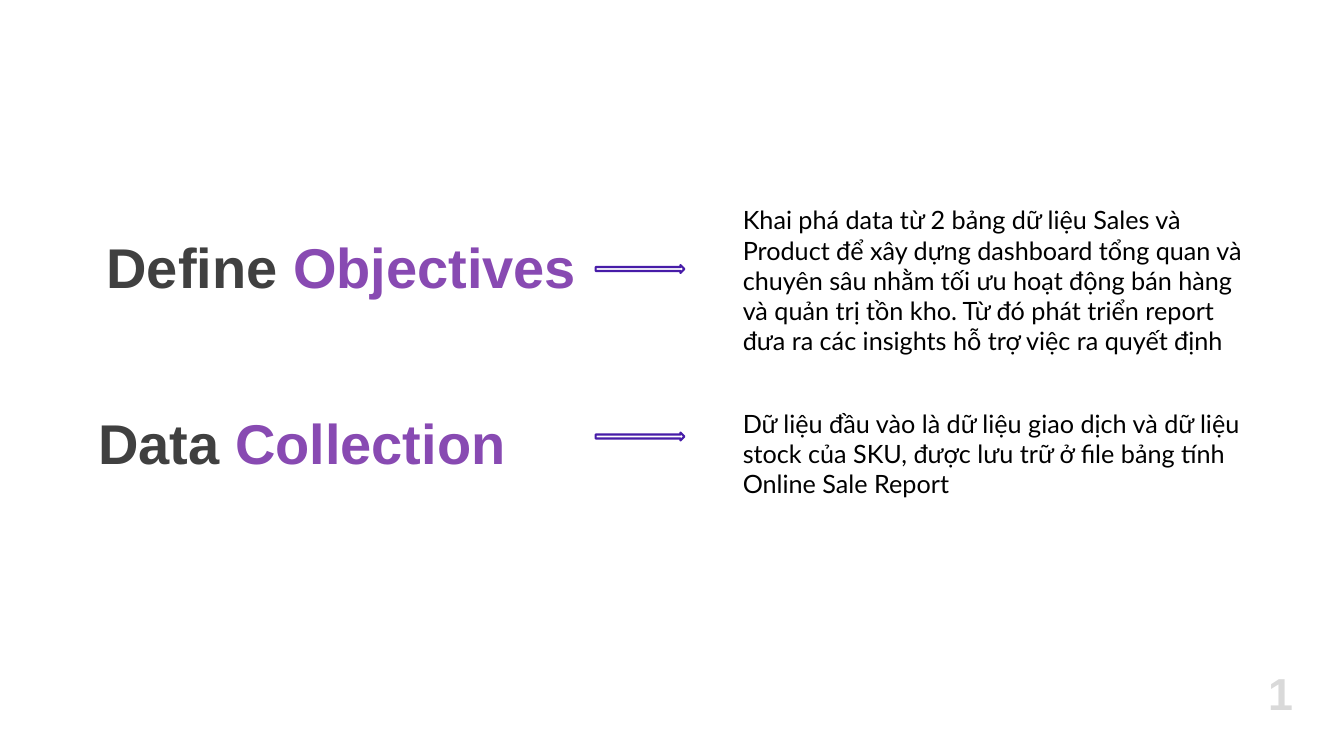
import pptx
import pptx.dml.color
import pptx.enum.shapes
import pptx.enum.text
import pptx.util

Cm = pptx.util.Cm
RGBColor = pptx.dml.color.RGBColor
Align = pptx.enum.text.PP_ALIGN
Anchor = pptx.enum.text.MSO_ANCHOR

WHITE = RGBColor(0xFF, 0xFF, 0xFF)
BLACK = RGBColor(0x00, 0x00, 0x00)
CHARCOAL = RGBColor(0x40, 0x40, 0x40)
PURPLE = RGBColor(0x88, 0x4A, 0xB2)
INDIGO = RGBColor(0x47, 0x1C, 0xA8)
PALE_GREY = RGBColor(0xD9, 0xD9, 0xD9)

# Content: boxes are left, top, width, height in centimetres
STEPS = [
    {
        "heading": ("Define ", "Objectives"),
        "heading_box": (-1.52, 5.72, 20.24, 1.96),
        "arrow_top": 6.68,
        "body": "Khai phá data từ 2 bảng dữ liệu Sales và Product để xây dựng "
                "dashboard tổng quan và chuyên sâu nhằm tối ưu hoạt động bán hàng "
                "và quản trị tồn kho. Từ đó phát triển report đưa ra các insights "
                "hỗ trợ việc ra quyết định",
        "body_top": 5.03,
        "body_height": 4.11,
    },
    {
        "heading": ("Data ", "Collection"),
        "heading_box": (-2.31, 10.16, 19.84, 1.96),
        "arrow_top": 10.9,
        "body": "Dữ liệu đầu vào là dữ liệu giao dịch và dữ liệu stock của SKU, "
                "được lưu trữ ở file bảng tính Online Sale Report",
        "body_top": 10.16,
        "body_height": 2.57,
    },
]
PAGE_NUMBER = "1"
PAGE_NUMBER_BOX = (31.83, 16.64, 0.89, 1.63)

ARROW_LEFT, ARROW_WIDTH, ARROW_HEIGHT = 15.01, 2.24, 0.2
BODY_LEFT, BODY_WIDTH = 18.59, 13.06
INSET = Cm(0.13)


def add_text(slide, box, runs, *, size, font="Arial", bold=False,
             align=Align.LEFT, anchor=Anchor.TOP, wrap=True):
    """Add one paragraph made of (text, colour) runs."""
    shape = slide.shapes.add_textbox(*map(Cm, box))
    frame = shape.text_frame
    frame.word_wrap = wrap
    frame.auto_size = pptx.enum.text.MSO_AUTO_SIZE.SHAPE_TO_FIT_TEXT
    frame.vertical_anchor = anchor
    frame.margin_left = frame.margin_right = INSET
    frame.margin_top = frame.margin_bottom = INSET
    paragraph = frame.paragraphs[0]
    paragraph.alignment = align
    for text, colour in runs:
        run = paragraph.add_run()
        run.text = text
        run.font.name = font
        run.font.size = pptx.util.Pt(size)
        run.font.bold = bold
        run.font.color.rgb = colour


def add_arrow(slide, top):
    arrow = slide.shapes.add_shape(
        pptx.enum.shapes.MSO_SHAPE.RIGHT_ARROW,
        Cm(ARROW_LEFT), Cm(top), Cm(ARROW_WIDTH), Cm(ARROW_HEIGHT))
    arrow.shadow.inherit = False
    arrow.fill.solid()
    arrow.fill.fore_color.rgb = WHITE
    arrow.line.color.rgb = INDIGO
    arrow.line.width = pptx.util.Pt(1.5)


def main():
    presentation = pptx.Presentation()
    presentation.slide_width = Cm(33.87)
    presentation.slide_height = Cm(19.05)
    slide = presentation.slides.add_slide(presentation.slide_layouts[6])
    slide.background.fill.solid()
    slide.background.fill.fore_color.rgb = WHITE

    # Page number
    add_text(slide, PAGE_NUMBER_BOX, [(PAGE_NUMBER, PALE_GREY)], size=32,
             bold=True, align=Align.CENTER, anchor=Anchor.MIDDLE, wrap=False)

    # Steps: heading, arrow, explanation
    for step in STEPS:
        add_text(slide, step["heading_box"],
                 zip(step["heading"], (CHARCOAL, PURPLE)),
                 size=40, bold=True, align=Align.CENTER)
        add_arrow(slide, step["arrow_top"])
        body_box = (BODY_LEFT, step["body_top"], BODY_WIDTH, step["body_height"])
        add_text(slide, body_box, [(step["body"], BLACK)], size=18, font="Lato")

    presentation.save("out.pptx")


if __name__ == "__main__":
    main()
